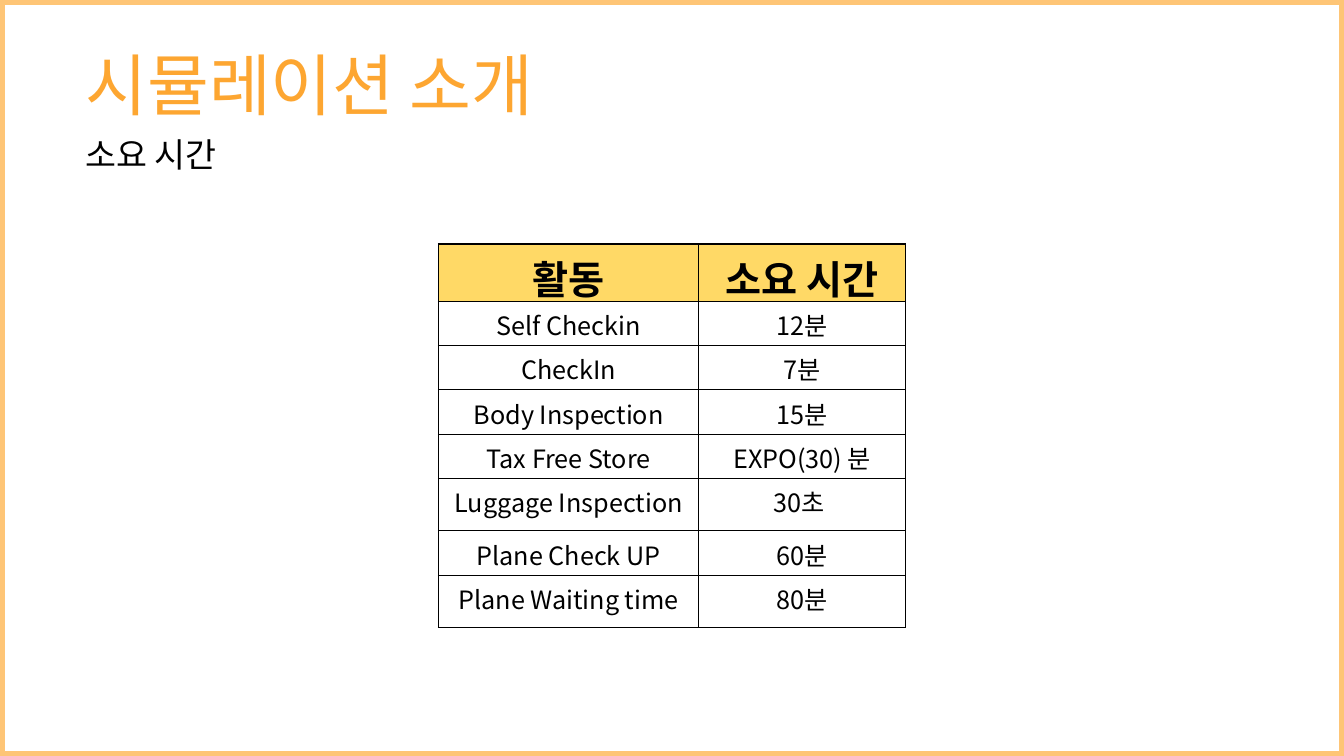
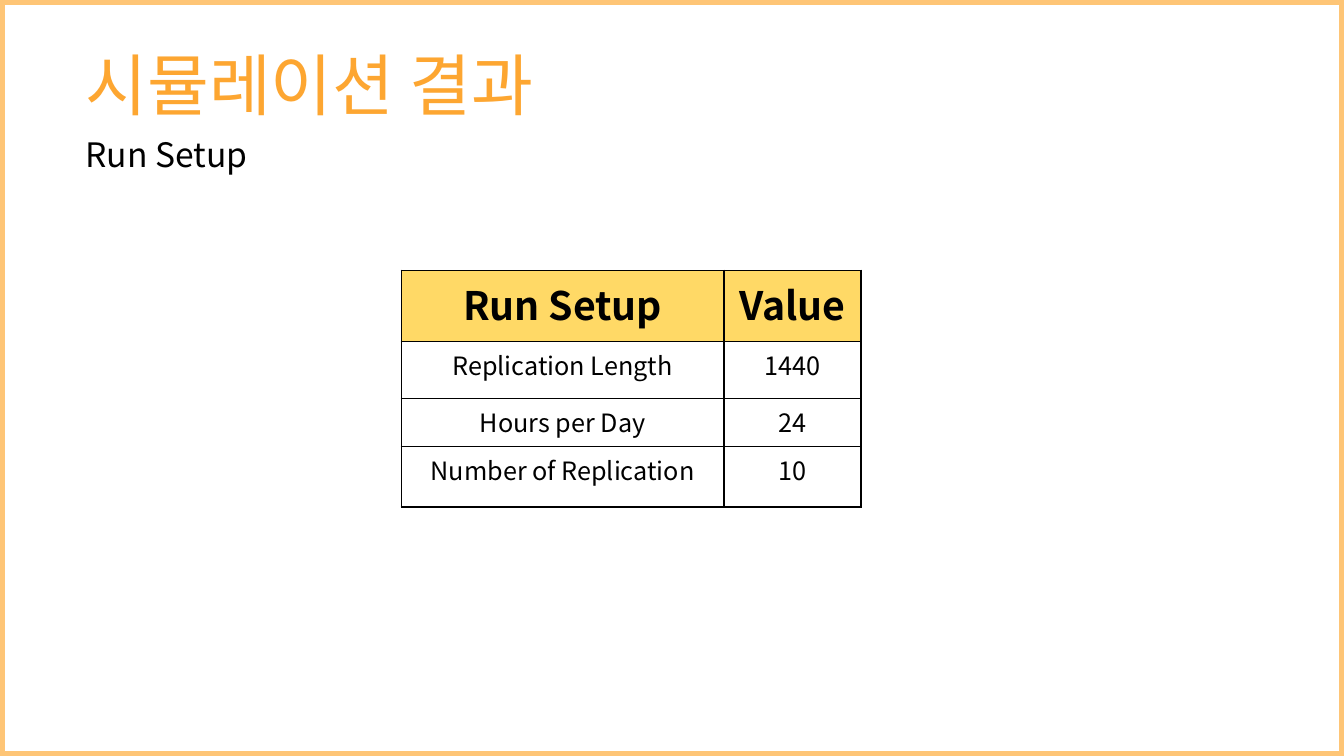
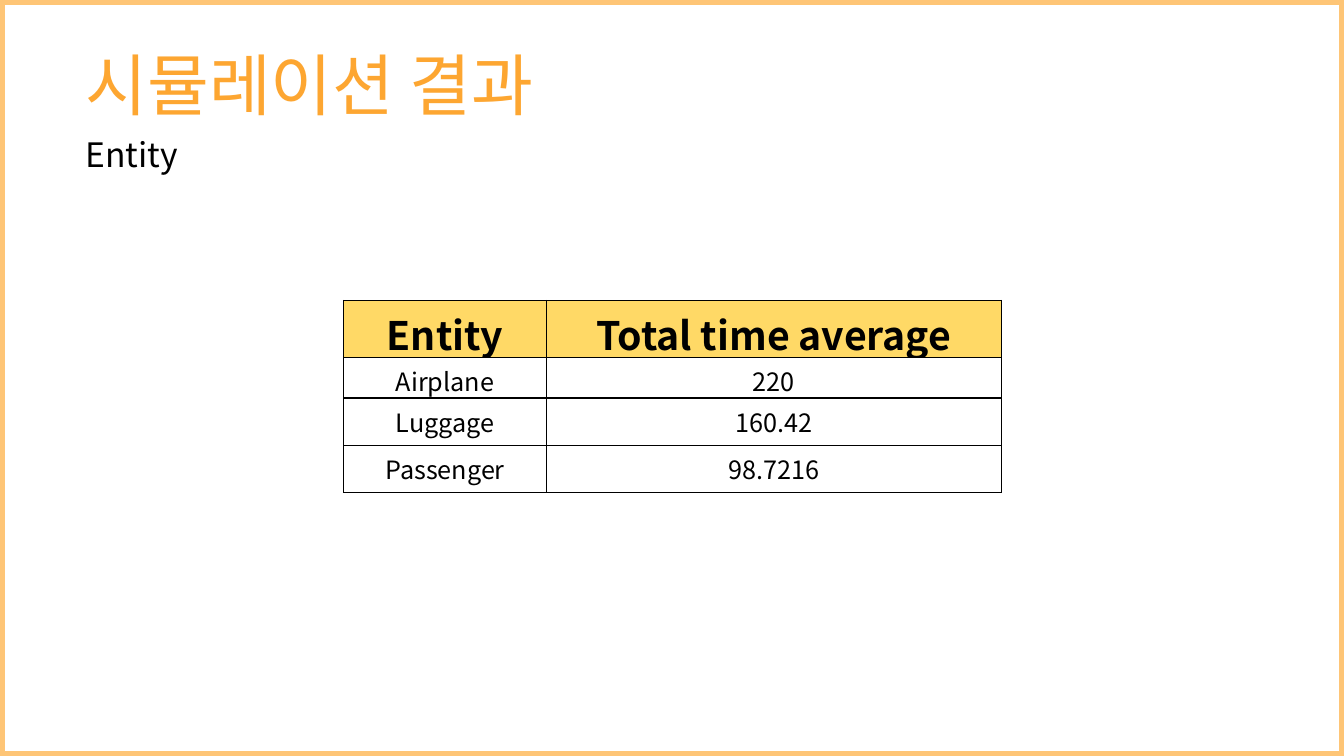
from pptx import Presentation
from pptx import util as u
from pptx.dml.color import RGBColor
from pptx.enum import shapes, text
from pptx.oxml.ns import qn
from lxml import etree

PX = 9144
WIDTH, HEIGHT = 1333, 750
FONT = "Noto Sans CJK KR"
WHITE = RGBColor(0xFF, 0xFF, 0xFF)
BLACK = RGBColor(0, 0, 0)
BORDER = RGBColor(0xFE, 0xC5, 0x76)
ORANGE = RGBColor(0xFD, 0xA6, 0x31)
HEADER = RGBColor(0xFF, 0xD9, 0x66)

SLIDES = [
    {
        "title": "시뮬레이션 소개",
        "subtitle": "소요 시간",
        "origin": (435, 242),
        "cols": [258, 205],
        "rows": [56, 44, 44, 44, 44, 52, 44, 52],
        "data": [
            ("활동", "소요 시간"),
            ("Self Checkin", "12분"),
            ("CheckIn", "7분"),
            ("Body Inspection", "15분"),
            ("Tax Free Store", "EXPO(30) 분"),
            ("Luggage Inspection", "30초 "),
            ("Plane Check UP", "60분"),
            ("Plane Waiting time", "80분"),
        ],
    },
    {
        "title": "시뮬레이션 결과",
        "subtitle": "Run Setup",
        "origin": (398, 268),
        "cols": [320, 136],
        "rows": [71, 56, 48, 60],
        "data": [
            ("Run Setup", "Value"),
            ("Replication Length", "1440"),
            ("Hours per Day", "24"),
            ("Number of Replication", "10"),
        ],
    },
    {
        "title": "시뮬레이션 결과",
        "subtitle": "Entity",
        "origin": (341, 298),
        "cols": [201, 451],
        "rows": [56, 40, 47, 47],
        "data": [
            ("Entity", "Total time average"),
            ("Airplane", "220"),
            ("Luggage", "160.42"),
            ("Passenger", "98.7216"),
        ],
    },
]


def px(*lengths):
    return [u.Emu(n * PX) for n in lengths]


def style(p, size, color, bold=False):
    for r in p.runs:
        r.font.size = u.Pt(size)
        r.font.name = FONT
        r.font.bold = bold
        r.font.color.rgb = color
        ea = etree.SubElement(r._r.get_or_add_rPr(), qn("a:ea"))
        ea.set("typeface", FONT)


def add_frame(s, box):
    sp = s.shapes.add_shape(shapes.MSO_SHAPE.FRAME, *px(*box))
    sp.adjustments[0] = 0.006
    sp.shadow.inherit = False
    sp.fill.solid()
    sp.fill.fore_color.rgb = BORDER
    sp.line.color.rgb = BORDER
    sp.line.width = u.Pt(1)


def add_text(s, box, words, size, color):
    tf = s.shapes.add_textbox(*px(*box)).text_frame
    tf.word_wrap = True
    tf.auto_size = text.MSO_AUTO_SIZE.SHAPE_TO_FIT_TEXT
    tf.text = words
    style(tf.paragraphs[0], size, color)


def add_heading(s, box, title, subtitle):
    left, top, width, height = box
    add_text(s, (left, top, width, 91), title, 48, ORANGE)
    add_text(s, (left, top + 90, 633, height - 90), subtitle, 24, BLACK)


def set_borders(cell):
    tc_pr = cell._tc.get_or_add_tcPr()
    for i, side in enumerate(("a:lnL", "a:lnR", "a:lnT", "a:lnB")):
        ln = etree.Element(qn(side), w=str(u.Pt(1)))
        fill = etree.SubElement(ln, qn("a:solidFill"))
        etree.SubElement(fill, qn("a:srgbClr"), val=str(BLACK))
        tc_pr.insert(i, ln)


def fill_cell(cell, words, is_header):
    cell.text = words
    p = cell.text_frame.paragraphs[0]
    p.alignment = text.PP_ALIGN.CENTER
    style(p, 28 if is_header else 18, BLACK, is_header)
    cell.fill.solid()
    cell.fill.fore_color.rgb = HEADER if is_header else WHITE
    set_borders(cell)


def add_data_table(s, origin, cols, rows, data):
    box = px(*origin, sum(cols), sum(rows))
    table = s.shapes.add_table(len(rows), len(cols), *box).table
    for col, width in zip(table.columns, px(*cols)):
        col.width = width
    for row, height in zip(table.rows, px(*rows)):
        row.height = height
    for i, line in enumerate(data):
        for j, words in enumerate(line):
            fill_cell(table.cell(i, j), words, i == 0)


def add_table_slide(prs, title, subtitle, **table):
    s = prs.slides.add_slide(prs.slide_layouts[6])
    s.background.fill.solid()
    s.background.fill.fore_color.rgb = WHITE
    add_frame(s, (0, 0, WIDTH, HEIGHT))
    add_heading(s, (75, 38, 942, 140), title, subtitle)
    add_data_table(s, **table)


def main():
    prs = Presentation()
    prs.slide_width, prs.slide_height = px(WIDTH, HEIGHT)
    for content in SLIDES:
        add_table_slide(prs, **content)
    prs.save("out.pptx")


if __name__ == "__main__":
    main()
